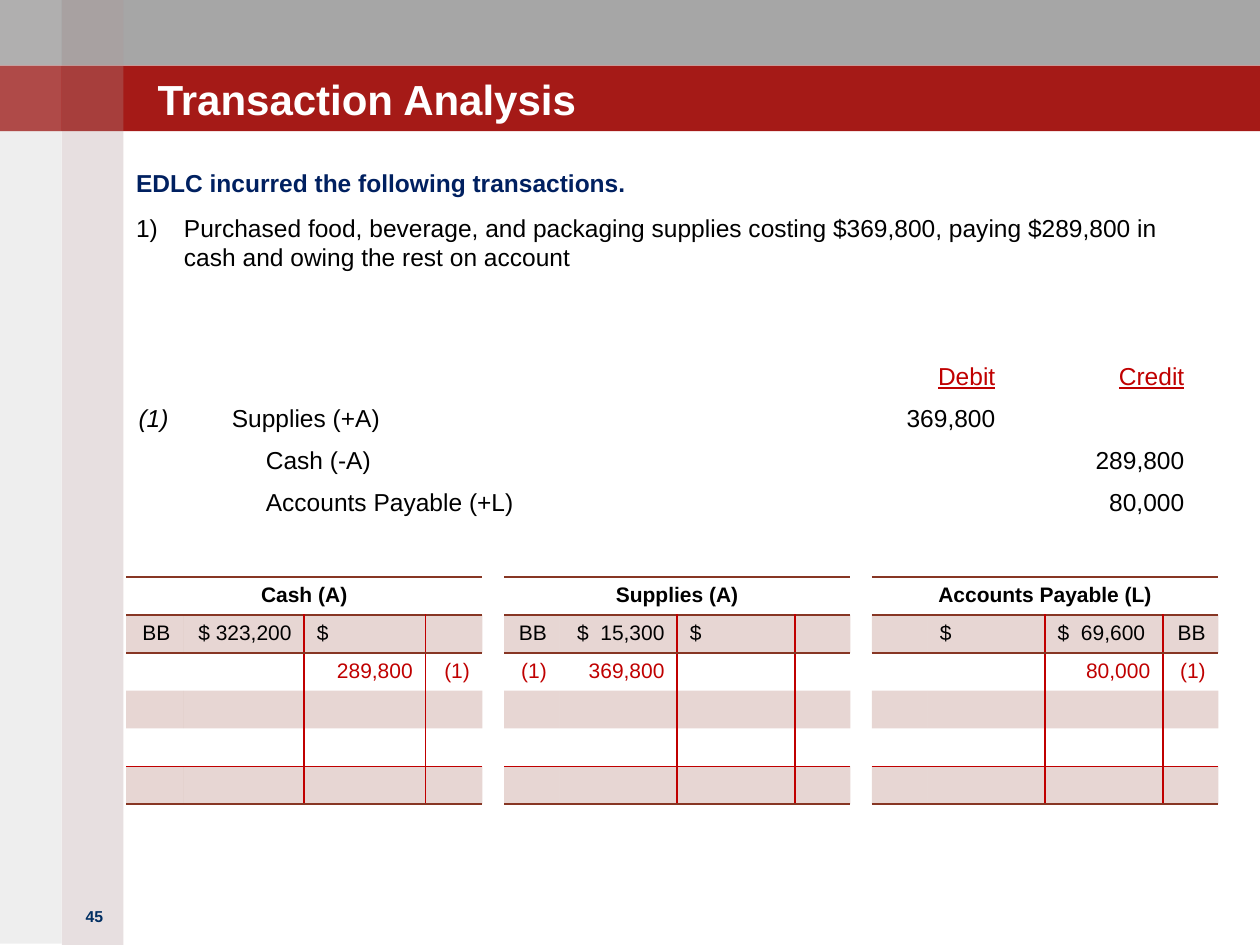
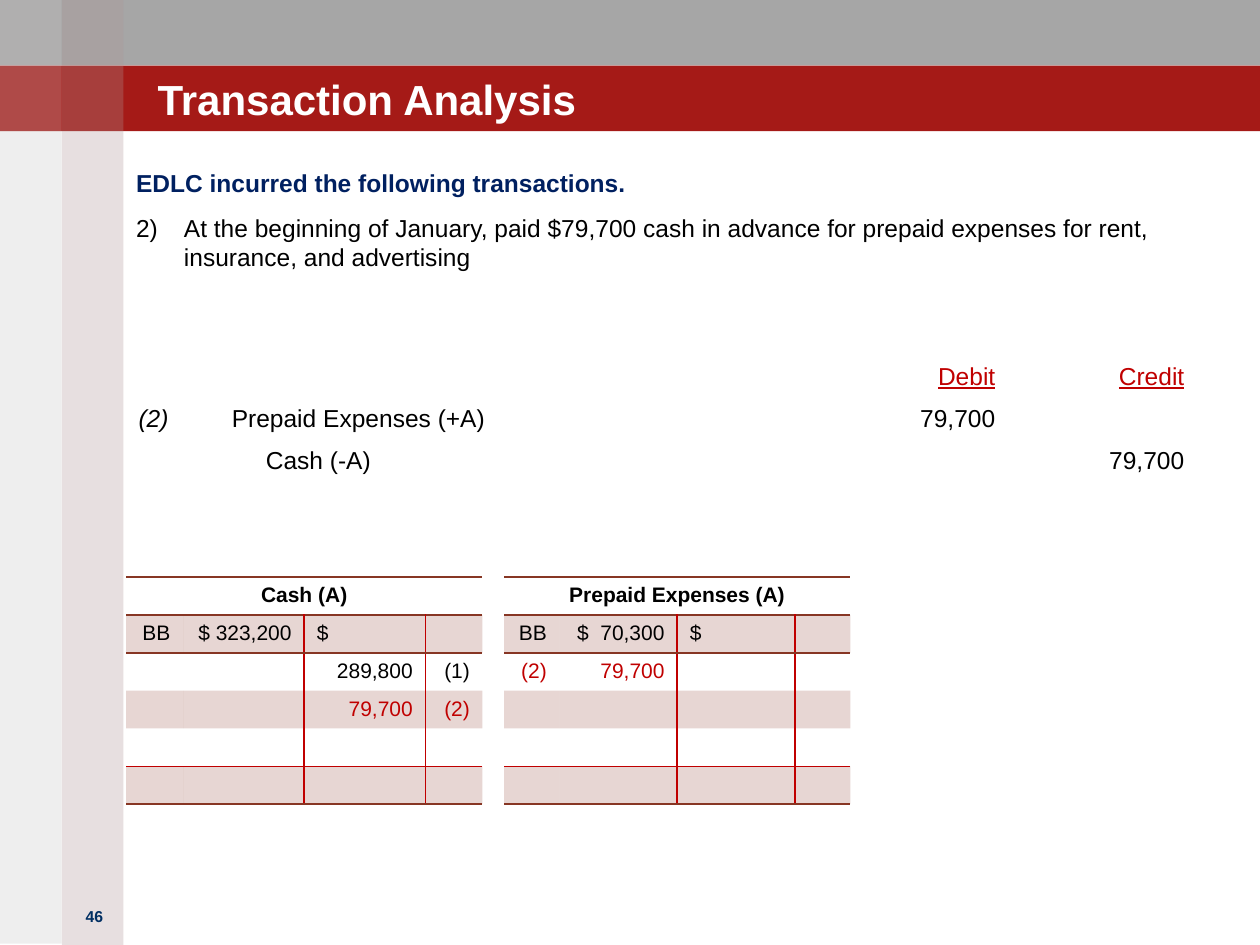
from dataclasses import dataclass
from lxml.etree import SubElement
from pptx import Presentation
from pptx.dml.color import RGBColor
from pptx.enum.shapes import MSO_SHAPE
from pptx.enum.text import MSO_ANCHOR, PP_ALIGN
from pptx.oxml.ns import qn
from pptx.util import Inches, Pt


@dataclass(frozen=True)
class Theme:
    font: str = "Arial"
    gray: str = "A6A6A6"
    red: str = "A51A17"
    rose: str = "A08284"
    ash: str = "938F8F"
    white: str = "FFFFFF"
    black: str = "000000"
    navy: str = "002060"
    page: str = "002E62"
    accent: str = "C00000"
    brown: str = "873624"
    head: int = 24
    text: int = 14
    small: int = 12
    tiny: int = 9
    plain: str = "{2D5ABB26-0587-4C30-8999-92F81FD0307C}"


T = Theme()
LEFT, MID, RIGHT = PP_ALIGN.LEFT, PP_ALIGN.CENTER, PP_ALIGN.RIGHT

BANDS = [
    ((0, 0, 10, 0.52), T.gray, 100),
    ((0, 0.52, 10, 0.52), T.red, 100),
    ((0.49, 0, 0.49, 7.5), T.rose, 25),
    ((0, 0, 0.49, 7.49), T.ash, 15),
] + [
    ((x, y, 0.49, 0.52), T.white, alpha)
    for y in (0, 0.52) for x, alpha in ((0.49, 5), (0, 15))
]

CASH = ["BB", "$ 323,200", "$", ""]
PAID = ["", "", "289,800", "(1)"]
SLIDES = [
    dict(
        page=45, num=1,
        task="Purchased food, beverage, and packaging supplies costing "
             "$369,800, paying $289,800 in cash and owing the rest on account",
        lines=[("Supplies (+A)", "369,800", ""),
               ("Cash (-A)", "", "289,800"),
               ("Accounts Payable (+L)", "", "80,000")],
        books=[("Cash (A)", [CASH, PAID]),
               ("Supplies (A)", [["BB", "$  15,300", "$", ""],
                                 ["(1)", "369,800", "", ""]]),
               ("Accounts Payable (L)", [["", "$", "$  69,600", "BB"],
                                         ["", "", "80,000", "(1)"]])],
    ),
    dict(
        page=46, num=2,
        task="At the beginning of January, paid $79,700 cash in advance for "
             "prepaid expenses for rent, insurance, and advertising",
        lines=[("Prepaid Expenses (+A)", "79,700", ""),
               ("Cash (-A)", "", "79,700")],
        books=[("Cash (A)", [CASH, PAID, ["", "", "79,700", "(2)"]]),
               ("Prepaid Expenses (A)", [["BB", "$  70,300", "$", ""],
                                         ["(2)", "79,700", "", ""]])],
    ),
]


def place(box):
    return [Inches(v) for v in box]


def paint(fill, color, alpha=100):
    fill.solid()
    fill.fore_color.rgb = RGBColor.from_string(color)
    if alpha < 100:
        node = fill._xPr.find(qn("a:solidFill"))[0]
        SubElement(node, qn("a:alpha"), val=str(alpha * 1000))


def write(para, text, size, color=T.black, align=LEFT, **look):
    para.alignment = align
    if not text:
        SubElement(para._p, qn("a:endParaRPr"), sz=str(size * 100))
        return
    run = para.add_run()
    run.text = text
    look = dict(name=T.font, size=Pt(size), bold=False) | look
    for key, value in look.items():
        setattr(run.font, key, value)
    run.font.color.rgb = RGBColor.from_string(color)


def add_text(slide, box, inset=0, anchor=MSO_ANCHOR.TOP):
    frame = slide.shapes.add_textbox(*place(box)).text_frame
    look = dict(word_wrap=True, vertical_anchor=anchor)
    sides = ("left", "right", "top", "bottom")
    look |= {f"margin_{side}": Inches(inset) for side in sides}
    for key, value in look.items():
        setattr(frame, key, value)
    return frame


def add_grid(slide, box, rows, cols):
    frame = slide.shapes.add_table(rows, len(cols), *place(box))
    grid = frame.table
    grid._tbl.tblPr.find(qn("a:tableStyleId")).text = T.plain
    for key in ("first_row", "horz_banding"):
        setattr(grid, key, False)
    for col, wide in zip(grid.columns, cols):
        col.width = Inches(wide)
    for row in grid.rows:
        row.height = Inches(box[3] / rows)
    return grid


def edge(cell, sides):
    prop = cell._tc.get_or_add_tcPr()
    spot = 0
    for side in "LRTB":
        if side in sides:
            line = SubElement(prop, qn(f"a:ln{side}"), w=str(Pt(1)))
            fill = SubElement(line, qn("a:solidFill"))
            SubElement(fill, qn("a:srgbClr"), val=sides[side])
            prop.insert(spot, line)
            spot += 1


def add_bands(slide):
    for box, color, alpha in BANDS:
        band = slide.shapes.add_shape(MSO_SHAPE.RECTANGLE, *place(box))
        band.shadow.inherit = False
        band.line.fill.background()
        paint(band.fill, color, alpha)


def add_frame(slide, page):
    add_bands(slide)
    foot = add_text(slide, (0.5, 7.15, 0.5, 0.5), 0.05)
    write(foot.paragraphs[0], str(page), T.tiny, T.page, MID, bold=True)
    head = add_text(slide, (1.25, 0.31, 7.92, 0.67), anchor=MSO_ANCHOR.BOTTOM)
    write(head.paragraphs[0], "Transaction Analysis", T.head, T.white, bold=True)


def add_task(slide, box, num, task):
    frame = add_text(slide, box)
    lead, item = frame.paragraphs[0], frame.add_paragraph()
    write(lead, "EDLC incurred the following transactions.",
          T.text, T.navy, bold=True)
    write(item, task, T.text)
    for para in (lead, item):
        para.space_before, para.space_after = Pt(3), Pt(6)
    prop = item._p.get_or_add_pPr()
    prop.set("marL", str(Inches(0.38)))
    prop.set("indent", str(Inches(-0.38)))
    SubElement(prop, qn("a:buFont"), typeface=T.font)
    SubElement(prop, qn("a:buAutoNum"), type="arabicParenR", startAt=str(num))


def add_entry(slide, box, num, lines):
    x, y, wide, step = box
    cols = (0.74, wide - 3.49, 1.25, 1.5)
    rows = len(lines) + 1
    grid = add_grid(slide, (x, y, wide, step * rows), rows, cols)
    data = [("", "", "Debit", "Credit")]
    data += [(f"({num})" if i == 0 else "", *line)
             for i, line in enumerate(lines)]
    for r, row in enumerate(data):
        for c, text in enumerate(row):
            para = grid.cell(r, c).text_frame.paragraphs[0]
            write(para, text, T.text, T.black if r else T.accent,
                  RIGHT if c > 1 else LEFT, italic=c == 0, underline=r == 0)
            if c == 1 and r > 1:
                para._p.get_or_add_pPr().set("marL", str(Inches(0.27)))


def add_book(slide, box, num, name, data):
    cols = [box[2] * part for part in (0.16, 0.34, 0.34, 0.16)]
    grid = add_grid(slide, box, 6, cols)
    grid.cell(0, 0).merge(grid.cell(0, 3))
    data = [[name, "", "", ""]] + data
    data += [[""] * 4 for _ in range(6 - len(data))]
    for r, row in enumerate(data):
        fresh = f"({num})" in row
        for c, text in enumerate(row):
            cell = grid.cell(r, c)
            left = text == "$" or c == 2 and text.startswith("$")
            align = MID if r == 0 else LEFT if left else RIGHT
            write(cell.text_frame.paragraphs[0], text, T.small,
                  T.accent if fresh else T.black, align, bold=r == 0)
            if r % 2:
                paint(cell.fill, T.brown, 20)
            elif r == 0 or r < 5:
                cell.fill.background()
            sides = {0: dict(T=T.brown, B=T.brown), 1: dict(T=T.brown),
                     4: dict(B=T.accent),
                     5: dict(T=T.accent, B=T.brown)}.get(r, {})
            if r and c > 1:
                sides["L"] = T.accent
            if r and c in (1, 2):
                sides["R"] = T.accent
            edge(cell, sides)


def add_page(deck, page, num, task, lines, books):
    slide = deck.slides.add_slide(deck.slide_layouts[6])
    add_frame(slide, page)
    add_task(slide, (1.08, 1.33, 8.42, 5.83), num, task)
    add_entry(slide, (1, 2.83, 8.5, 0.32), num, lines)
    spots = ((1, 2.83), (4, 2.75), (6.92, 2.75))
    for (x, wide), (name, data) in zip(spots, books):
        add_book(slide, (x, 4.58, wide, 1.73), num, name, data)


def main():
    deck = Presentation()
    deck.slide_width, deck.slide_height = Inches(10), Inches(7.5)
    for item in SLIDES:
        add_page(deck, **item)
    deck.save("out.pptx")


if __name__ == "__main__":
    main()
